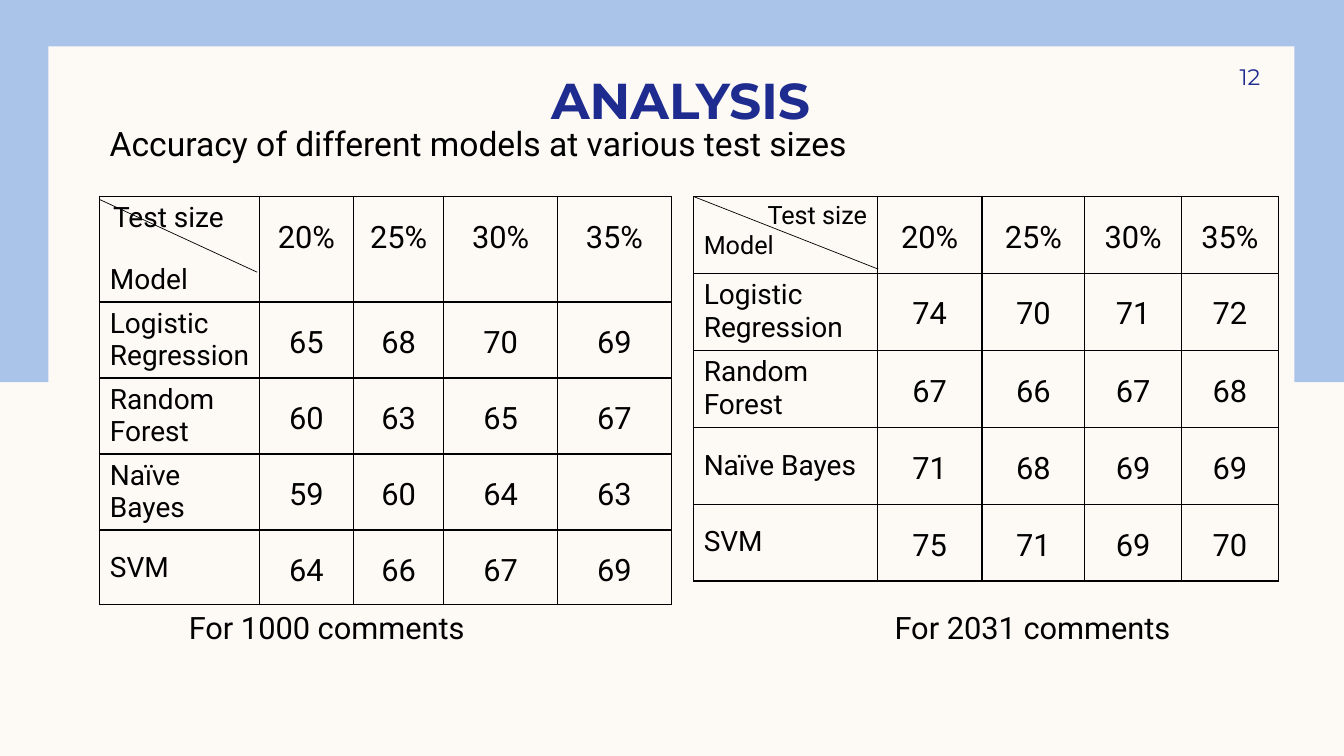
from lxml import etree
from pptx import Presentation
from pptx.dml.color import RGBColor
from pptx.enum.shapes import MSO_CONNECTOR as Connector, MSO_SHAPE as Shape
from pptx.enum.text import MSO_ANCHOR as Anchor, MSO_AUTO_SIZE as AutoSize, PP_ALIGN as Align
from pptx.oxml import parse_xml
from pptx.oxml.ns import nsdecls, qn
from pptx.util import Inches, Pt

COLORS = {"paper": "FDFAF6", "sky": "AAC3E8", "navy": "1F2C8F", "ink": "000000"}
TEST_SIZES = ["20%", "25%", "30%", "35%"]
MODELS = ["Logistic Regression", "Random Forest", "Naïve Bayes", "SVM"]
SMALL_SAMPLE = [[65, 68, 70, 69], [60, 63, 65, 67], [59, 60, 64, 63], [64, 66, 67, 69]]
LARGE_SAMPLE = [[74, 70, 71, 72], [67, 66, 67, 68], [71, 68, 69, 69], [75, 71, 69, 70]]


class AnalysisPage:
    """Hold the style and the current slide."""

    def __init__(self, deck):
        """Add a title-only slide with the paper background."""
        self.page = deck.slides.add_slide(deck.slide_layouts[5])
        background = self.page.background.fill
        background.solid()
        background.fore_color.rgb = self.color("paper")

    def color(self, name):
        """Look up a named colour."""
        return RGBColor.from_string(COLORS[name])

    def format(self, para, size, font="Roboto", color="ink", align=Align.LEFT, bold=False):
        """Format a paragraph and its runs."""
        para.alignment = align
        for span in para.runs:
            span.font.size, span.font.name, span.font.bold = Pt(size), font, bold
            span.font.color.rgb = self.color(color)

    def panel(self, color, *place):
        """Add a plain coloured rectangle."""
        box = self.page.shapes.add_shape(Shape.RECTANGLE, *map(Inches, place))
        box.shadow.inherit = False
        box.fill.solid()
        box.fill.fore_color.rgb = self.color(color)
        box.line.fill.background()

    def title(self, text, *place):
        """Fill the title placeholder and bring it above the panels."""
        title = self.page.shapes.title
        title.element.getparent().append(title.element)
        title.left, title.top, title.width, title.height = map(Inches, place)
        frame = title.text_frame
        frame.text = text
        frame.auto_size = AutoSize.NONE
        frame.vertical_anchor = Anchor.BOTTOM
        frame.margin_top = frame.margin_bottom = 0
        self.format(frame.paragraphs[0], 36, "Montserrat", "navy", Align.CENTER, True)

    def text(self, text, place, size, anchor=Anchor.TOP, right=0.1, **style):
        """Add a wrapped text box."""
        frame = self.page.shapes.add_textbox(*map(Inches, place)).text_frame
        frame.text = text
        frame.word_wrap = True
        frame.vertical_anchor = anchor
        frame.margin_right = Inches(right)
        self.format(frame.paragraphs[0], size, **style)

    def line(self, *ends):
        """Add a thin line between two points."""
        line = self.page.shapes.add_connector(Connector.STRAIGHT, *map(Inches, ends))
        line.line.color.rgb = self.color("ink")
        line.line.width = Pt(0.5)
        etree.SubElement(line.element.spPr, qn("a:effectLst"))

    def cell(self, cell, text, size, align=Align.LEFT, spacing=1.0, right=0.1):
        """Fill one unfilled, bordered table cell."""
        cell.fill.background()
        cell.margin_right = Inches(right)
        properties = cell._tc.get_or_add_tcPr()
        for index, side in enumerate("LRTB"):
            properties.insert(index, parse_xml(
                f'<a:ln{side} {nsdecls("a")} w="12700"><a:solidFill>'
                f'<a:srgbClr val="{COLORS["ink"]}"/></a:solidFill></a:ln{side}>'))
        cell.text_frame.text = text
        for para in cell.text_frame.paragraphs:
            self.format(para, size, align=align)
            para.line_spacing = spacing

    def table(self, place, widths, row_height, scores, corner_size, spaced_models):
        """Add an accuracy table and return its corner cell."""
        rows, columns = len(MODELS) + 1, len(widths)
        frame = self.page.shapes.add_table(rows, columns, *map(Inches, place))
        table = frame.table
        table.first_row = table.horz_banding = False
        for column, width in zip(table.columns, widths):
            column.width = Inches(width)
        for row in table.rows:
            row.height = Inches(row_height)
        corner = table.cell(0, 0)
        self.cell(corner, "Test size\nModel", corner_size)
        corner.text_frame.paragraphs[0].alignment = Align.RIGHT
        for index, model in enumerate(MODELS, 1):
            spacing = 1.5 if model in spaced_models else 1.0
            self.cell(table.cell(index, 0), model, 20, spacing=spacing, right=0.04)
        for row, values in enumerate([TEST_SIZES] + scores):
            for column, value in enumerate(values, 1):
                self.cell(table.cell(row, column), str(value), 22, Align.CENTER, 1.5)
        return corner


def main():
    """Build and save the analysis slide."""
    deck = Presentation()
    deck.slide_width, deck.slide_height = Inches(13.33), Inches(7.5)
    page = AnalysisPage(deck)
    page.panel("sky", -0.03, 0, 13.36, 3.79)
    page.panel("paper", 0.48, 0.46, 12.36, 6.59)
    page.title("ANALYSIS", 1, 0.5, 11.5, 0.79)
    corner = page.table((0.99, 1.95, 5.67, 3.7), [1.58, 0.94, 0.89, 1.13, 1.13], 0.74,
                        SMALL_SAMPLE, 20, ["SVM"])
    heading = corner.text_frame.paragraphs[0]
    heading.space_after = Pt(21)
    heading._p.get_or_add_pPr().set("marR", str(Inches(0.25)))
    page.text("12", (11.33, 0.5, 1.17, 0.52), 16, Anchor.MIDDLE, 0,
              font="Montserrat", color="navy", align=Align.RIGHT)
    page.line(0.99, 1.98, 2.55, 2.7)
    page.text("Accuracy of different models at various test sizes", (0.99, 1.17, 10.77, 0.5), 24)
    page.table((6.88, 1.95, 5.8, 3.8), [1.82, 1.04, 1.02, 0.96, 0.96], 0.76,
               LARGE_SAMPLE, 18, ["Naïve Bayes", "SVM"])
    page.line(6.88, 1.95, 8.71, 2.67)
    for left, comments in ((1.24, 1000), (8.24, 2031)):
        page.text(f"For {comments} comments", (left, 5.99, 4, 0.47), 22, align=Align.CENTER)
    deck.save("out.pptx")


if __name__ == "__main__":
    main()
